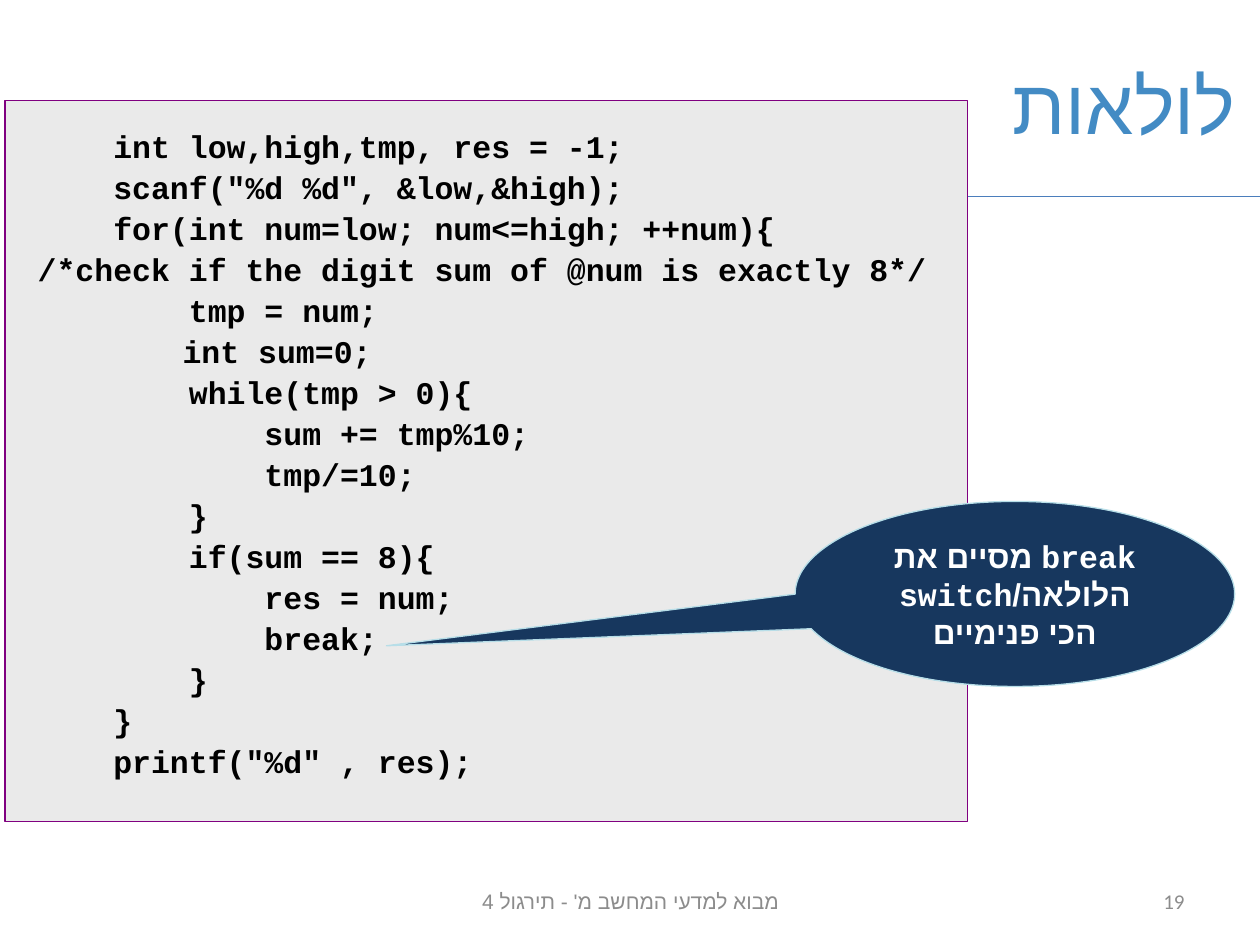
from lxml import etree
from pptx import Presentation
from pptx.dml.color import RGBColor
from pptx.enum.shapes import MSO_CONNECTOR, MSO_SHAPE
from pptx.enum.text import MSO_ANCHOR, PP_ALIGN
from pptx.oxml.ns import qn
from pptx.util import Cm, Pt

LEFT, MID, RIGHT = PP_ALIGN.LEFT, PP_ALIGN.CENTER, PP_ALIGN.RIGHT
TOP, MIDDLE = MSO_ANCHOR.TOP, MSO_ANCHOR.MIDDLE
RECT, BUBBLE = MSO_SHAPE.RECTANGLE, MSO_SHAPE.OVAL_CALLOUT
STRAIGHT = MSO_CONNECTOR.STRAIGHT
MONO = "Courier New"
GREY = "8C8C8C"

CODE = """\
    int low,high,tmp, res = -1;
    scanf("%d %d", &low,&high);
    for(int num=low; num<=high; ++num){
/*check if the digit sum of @num is exactly 8*/
        tmp = num;
\t int sum=0;
        while(tmp > 0){
            sum += tmp%10;
            tmp/=10;
        }
        if(sum == 8){
            res = num;
            break;
        }
    }
    printf("%d" , res);"""


def color(code):
    return RGBColor.from_string(code)


def add_tab(para, place):
    """Give a paragraph one left tab stop."""
    stops = etree.SubElement(para._p.get_or_add_pPr(), qn("a:tabLst"))
    stop = etree.SubElement(stops, qn("a:tab"))
    stop.set("pos", str(Cm(place)))
    stop.set("algn", "l")


def write(frame, text, face, size, ink, align, bold=False, rtl=False, gap=0):
    """Fill a text frame, one paragraph for each line."""
    frame.word_wrap = True
    for i, line in enumerate(text.split("\n")):
        para = frame.paragraphs[0] if i == 0 else frame.add_paragraph()
        para.add_run().text = line
        para.alignment = align
        if i and gap:
            para.space_before = Pt(gap)
        if "\t" in line:
            add_tab(para, 2.54)
        font = para.font
        font.name, font.size, font.bold = face, Pt(size), bold
        font.color.rgb = color(ink)
        if rtl:
            props = para._p.get_or_add_pPr()
            props.set("rtl", "1")
            script = etree.SubElement(props.find(qn("a:defRPr")), qn("a:cs"))
            script.set("typeface", "Arial")


def add_title(slide, text):
    title = slide.shapes.title
    title.left, title.top, title.width, title.height = (
        Cm(2.31), Cm(0.51), Cm(22.86), Cm(3.18))
    title.text_frame.vertical_anchor = MIDDLE
    write(title.text_frame, text, "Arial", 44, "438BC4", RIGHT, rtl=True)


def add_rule(slide, left, right, y):
    rule = slide.shapes.add_connector(STRAIGHT, Cm(left), Cm(y), Cm(right), Cm(y))
    rule.line.color.rgb = color("4B7EBC")
    rule.line.width = Pt(0.75)
    etree.SubElement(rule._element.spPr, qn("a:effectLst"))


def add_note(slide, left, width, text, align, rtl=False):
    box = slide.shapes.add_textbox(Cm(left), Cm(17.65), Cm(width), Cm(1.02))
    box.text_frame.vertical_anchor = MIDDLE
    write(box.text_frame, text, "Calibri", 12, GREY, align, rtl=rtl)


def add_panel(slide, kind, left, top, width, height, fill, edge):
    panel = slide.shapes.add_shape(kind, Cm(left), Cm(top), Cm(width), Cm(height))
    panel.shadow.inherit = False
    panel.fill.solid()
    panel.fill.fore_color.rgb = color(fill)
    panel.line.color.rgb = color(edge)
    panel.line.width = Pt(0.75)
    return panel


def add_code(slide, text):
    panel = add_panel(slide, RECT, 0.1, 2.03, 19.41, 14.53, "EAEAEA", "800080")
    frame = panel.text_frame
    frame.vertical_anchor = TOP
    frame.margin_left = frame.margin_right = Cm(0.66)
    frame.margin_top = frame.margin_bottom = Cm(0.53)
    write(frame, text, MONO, 18, "000000", LEFT, bold=True, gap=1.8)


def add_bubble(slide, text):
    panel = add_panel(slide, BUBBLE, 16.03, 10.11, 8.86, 3.73, "17375E", "B7DEE8")
    # Tip of the tail, at the break line
    panel.adjustments[0], panel.adjustments[1] = -1.43, 0.28
    panel.text_frame.vertical_anchor = MIDDLE
    write(panel.text_frame, text, MONO, 18, "FFFFFF", MID, bold=True, rtl=True)


def main():
    deck = Presentation()
    deck.slide_width, deck.slide_height = Cm(25.4), Cm(19.05)
    slide = deck.slides.add_slide(deck.slide_layouts[5])

    # Heading
    add_rule(slide, 7.34, 25.4, 3.96)
    add_title(slide, "לולאות")

    # Footer
    add_note(slide, 8.69, 8.05, "מבוא למדעי המחשב מ' - תירגול 4", MID, rtl=True)
    add_note(slide, 18.21, 5.92, "19", RIGHT)

    # Program and remark
    add_code(slide, CODE)
    add_bubble(slide, "break מסיים את הלולאה/switch הכי פנימיים")

    deck.save("out.pptx")


if __name__ == "__main__":
    main()
